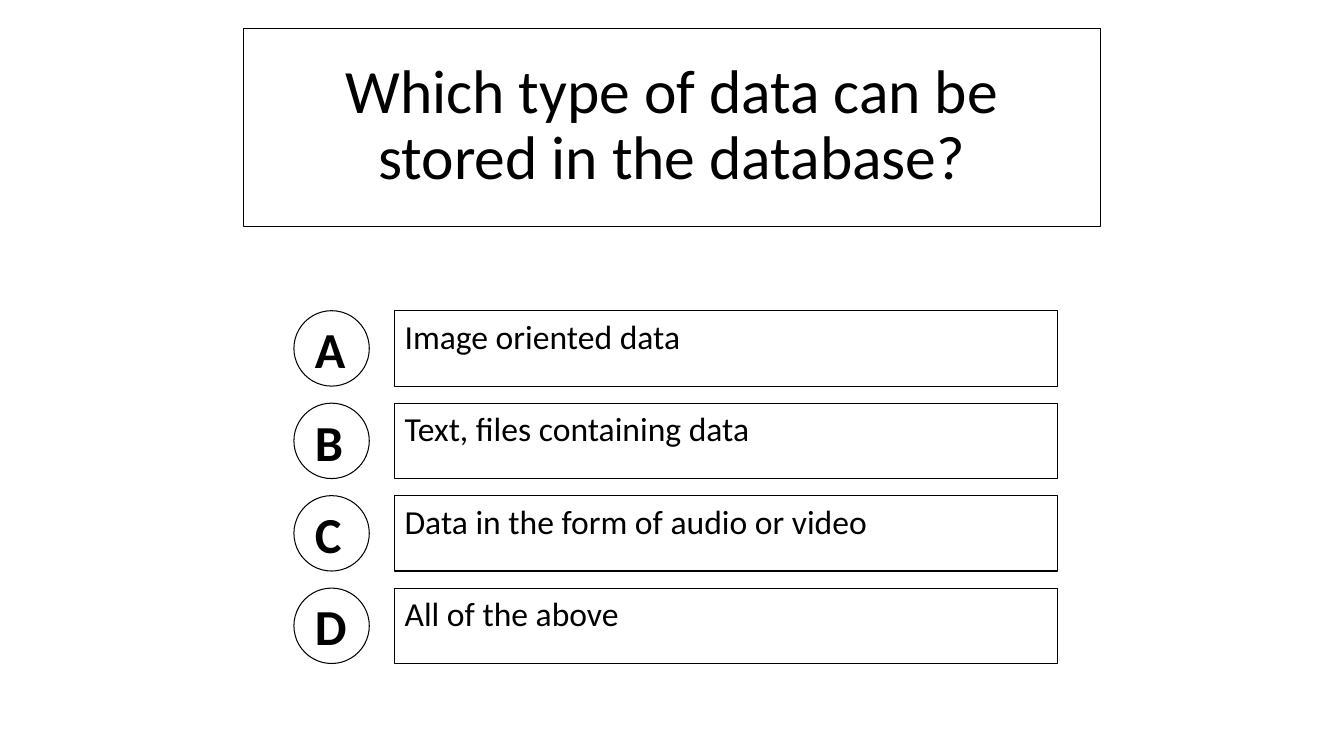
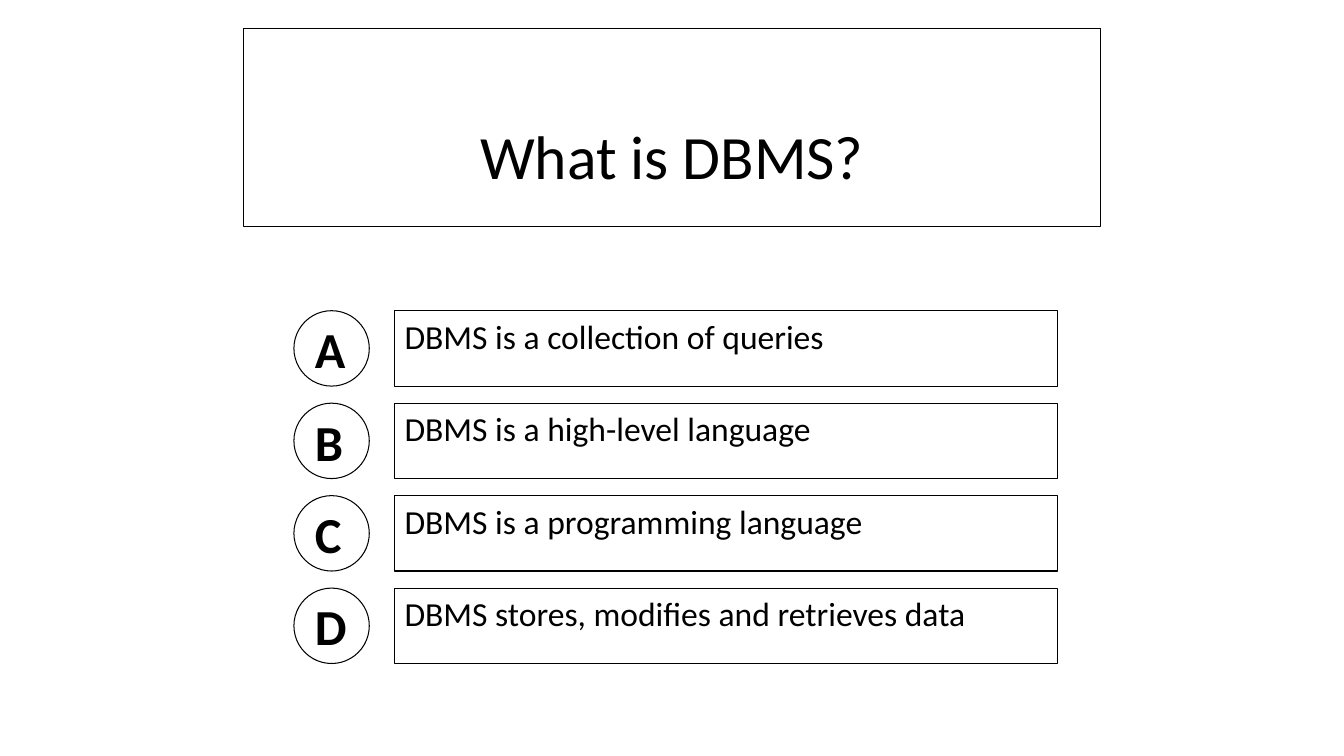
from dataclasses import dataclass

from pptx import Presentation
from pptx.dml.color import RGBColor
from pptx.enum.shapes import MSO_SHAPE
from pptx.enum.text import MSO_ANCHOR, PP_ALIGN
from pptx.util import Cm, Pt

RECT, OVAL = MSO_SHAPE.RECTANGLE, MSO_SHAPE.OVAL
TOP, MIDDLE, BOTTOM = MSO_ANCHOR.TOP, MSO_ANCHOR.MIDDLE, MSO_ANCHOR.BOTTOM
LEFT, CENTER = PP_ALIGN.LEFT, PP_ALIGN.CENTER

# Shared style
FONT = "Calibri"
BLACK, WHITE = "000000", "FFFFFF"
LINE_WIDTH = 0.75

# Answer grid, in cm
ANSWER_TOP, ANSWER_PITCH, ANSWER_HEIGHT = 7.83, 2.34, 1.9
LETTER_LEFT, ANSWER_LEFT, ANSWER_WIDTH = 7.41, 9.95, 16.72


@dataclass(frozen=True)
class Box:
    left: float
    top: float
    width: float
    height: float


@dataclass(frozen=True)
class Style:
    shape: int
    size: float
    anchor: int
    align: int = LEFT
    bold: bool = False
    fill: str | None = None
    line_spacing: float = 1.0
    inset_x: float = 0.25
    inset_y: float = 0.13


@dataclass(frozen=True)
class Question:
    title: str
    answers: tuple[str, ...]


TITLE_BOX = Box(6.15, 0.71, 21.59, 5)
TITLE = Style(RECT, 44, BOTTOM, CENTER, line_spacing=0.9, inset_x=1, inset_y=0.84)
LETTER = Style(OVAL, 36, MIDDLE, bold=True)
ANSWER = Style(RECT, 24, TOP, fill=WHITE)

QUESTIONS = (
    Question("Which type of data can be stored in the database?", (
        "Image oriented data",
        "Text, files containing data",
        "Data in the form of audio or video",
        "All of the above",
    )),
    Question("What is DBMS?", (
        "DBMS is a collection of queries",
        "DBMS is a high-level language",
        "DBMS is a programming language",
        "DBMS stores, modifies and retrieves data",
    )),
)


def rgb(color: str) -> RGBColor:
    return RGBColor.from_string(color)


def add_box(s, box: Box, text: str, style: Style) -> None:
    """Add one outlined shape with its text."""
    sp = s.shapes.add_shape(style.shape, Cm(box.left), Cm(box.top),
                            Cm(box.width), Cm(box.height))
    sp.shadow.inherit = False
    sp.line.color.rgb = rgb(BLACK)
    sp.line.width = Pt(LINE_WIDTH)
    if style.fill:
        sp.fill.solid()
        sp.fill.fore_color.rgb = rgb(style.fill)
    else:
        sp.fill.background()

    tf = sp.text_frame
    tf.word_wrap = True
    tf.vertical_anchor = style.anchor
    tf.margin_left = tf.margin_right = Cm(style.inset_x)
    tf.margin_top = tf.margin_bottom = Cm(style.inset_y)
    tf.text = text
    p = tf.paragraphs[0]
    p.alignment = style.align
    p.line_spacing = style.line_spacing
    r = p.runs[0]
    r.font.name = FONT
    r.font.size = Pt(style.size)
    r.font.bold = style.bold
    r.font.color.rgb = rgb(BLACK)


def add_question(prs, question: Question) -> None:
    """Add a slide with the question and its lettered answers."""
    s = prs.slides.add_slide(prs.slide_layouts[6])
    add_box(s, TITLE_BOX, question.title, TITLE)
    for i, (letter, answer) in enumerate(zip("ABCD", question.answers)):
        top = ANSWER_TOP + i * ANSWER_PITCH - i * 0.01
        add_box(s, Box(LETTER_LEFT, top, ANSWER_HEIGHT, ANSWER_HEIGHT), letter, LETTER)
        add_box(s, Box(ANSWER_LEFT, top, ANSWER_WIDTH, ANSWER_HEIGHT), answer, ANSWER)


def main() -> None:
    prs = Presentation()
    prs.slide_width, prs.slide_height = Cm(33.88), Cm(19.05)
    for question in QUESTIONS:
        add_question(prs, question)
    prs.save("out.pptx")


if __name__ == "__main__":
    main()
